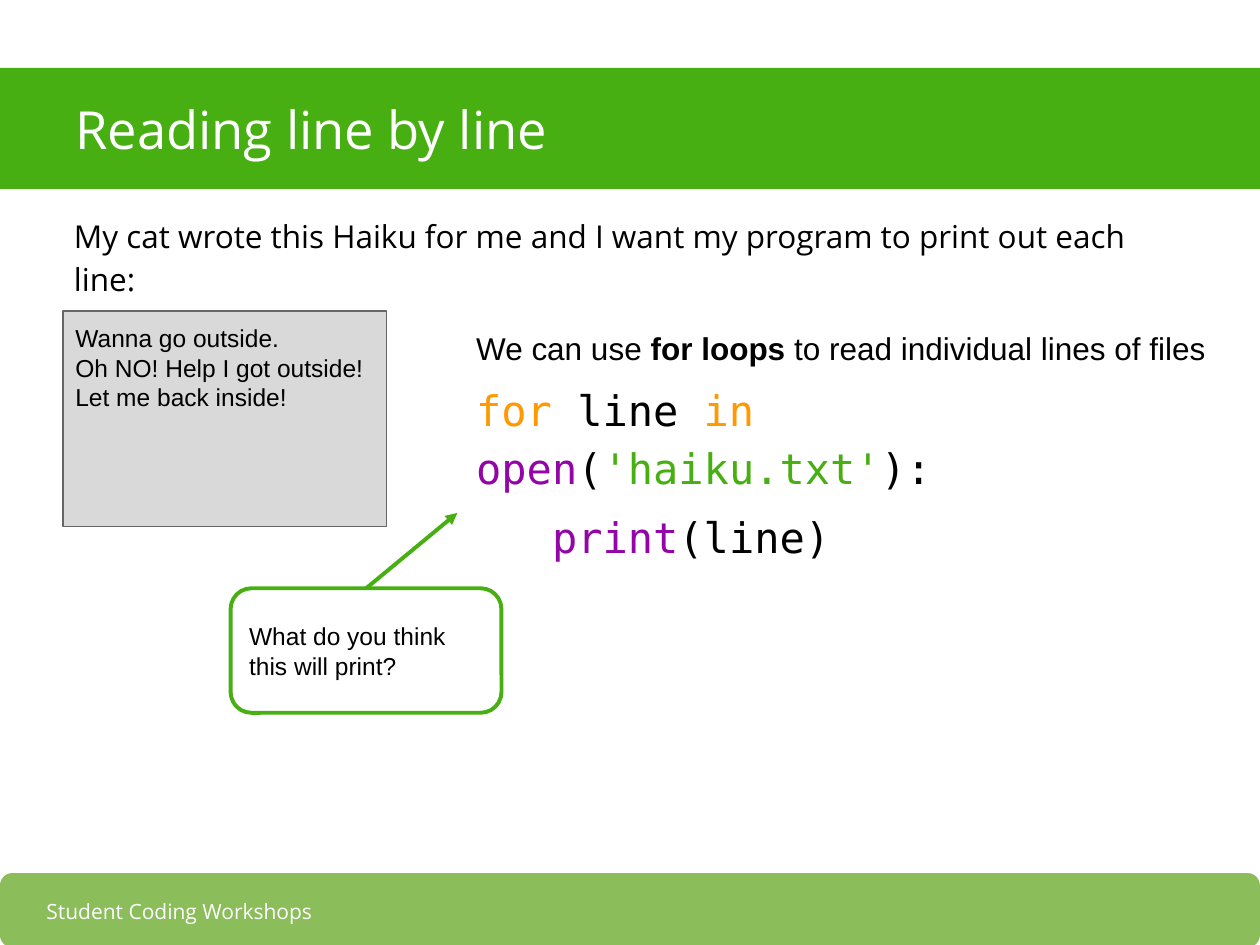
from dataclasses import dataclass

from lxml.etree import SubElement
from pptx import Presentation
from pptx.dml.color import RGBColor
from pptx.enum.shapes import MSO_CONNECTOR, MSO_SHAPE
from pptx.enum.text import MSO_ANCHOR, MSO_AUTO_SIZE, PP_ALIGN
from pptx.oxml.ns import qn
from pptx.util import Cm, Pt

GREEN = "47AF11"
PALE_GREEN = "8BBD5B"
WHITE = "FFFFFF"
BLACK = "000000"
ORANGE = "FF9900"
PURPLE = "9305A6"
GREY = "D9D9D9"
DARK_GREY = "666666"
SANS = "Arial"
OPEN = "Open Sans"
MONO = "DejaVu Sans Mono"


@dataclass(frozen=True)
class Area:
    left: float
    top: float
    width: float
    height: float

    def lengths(self) -> tuple:
        return Cm(self.left), Cm(self.top), Cm(self.width), Cm(self.height)


@dataclass(frozen=True)
class Span:
    text: str
    color: str = BLACK
    bold: bool = False


@dataclass(frozen=True)
class Style:
    font: str
    size: float
    spacing: float = 1.0
    before: float = 0
    align: PP_ALIGN = PP_ALIGN.LEFT


@dataclass(frozen=True)
class Line:
    style: Style
    spans: tuple


@dataclass(frozen=True)
class Panel:
    kind: MSO_SHAPE
    area: Area
    fill: str
    outline: str = ""
    weight: float = 0


def rgb(color: str) -> RGBColor:
    return RGBColor.from_string(color)


def write(box, lines: list, anchor=MSO_ANCHOR.TOP) -> None:
    frame = box.text_frame
    frame.word_wrap = True
    frame.auto_size = MSO_AUTO_SIZE.NONE
    frame.vertical_anchor = anchor
    frame.margin_left = frame.margin_right = Cm(0.25)
    frame.margin_top = frame.margin_bottom = Cm(0.25)
    for index, line in enumerate(lines):
        para = frame.add_paragraph() if index else frame.paragraphs[0]
        para.alignment = line.style.align
        para.line_spacing = line.style.spacing
        para.space_before = Pt(line.style.before if index else 0)
        for span in line.spans:
            run = para.add_run()
            run.text = span.text
            run.font.name = line.style.font
            run.font.size = Pt(line.style.size)
            run.font.bold = span.bold
            run.font.color.rgb = rgb(span.color)


def add_panel(page, panel: Panel):
    shape = page.shapes.add_shape(panel.kind, *panel.area.lengths())
    shape.shadow.inherit = False
    shape.fill.solid()
    shape.fill.fore_color.rgb = rgb(panel.fill)
    if panel.outline:
        shape.line.color.rgb = rgb(panel.outline)
        shape.line.width = Pt(panel.weight)
    else:
        shape.line.fill.background()
    return shape


def add_text(page, area: Area, lines: list, anchor=MSO_ANCHOR.TOP) -> None:
    write(page.shapes.add_textbox(*area.lengths()), lines, anchor)


def add_title(page, area: Area, line: Line) -> None:
    title = page.shapes.title
    title.left, title.top, title.width, title.height = area.lengths()
    write(title, [line], MSO_ANCHOR.MIDDLE)
    title.element.getparent().append(title.element)


def add_arrow(page, start: tuple, end: tuple, color: str, weight: float) -> None:
    points = [Cm(value) for value in (*start, *end)]
    arrow = page.shapes.add_connector(MSO_CONNECTOR.STRAIGHT, *points)
    arrow.line.color.rgb = rgb(color)
    arrow.line.width = Pt(weight)
    SubElement(arrow.line._get_or_add_ln(), qn("a:tailEnd"), type="triangle")
    SubElement(arrow.element.spPr, qn("a:effectLst"))


def main() -> None:
    deck = Presentation()
    deck.slide_width, deck.slide_height = Cm(25.4), Cm(19.05)
    page = deck.slides.add_slide(deck.slide_layouts[5])

    heading = Style(OPEN, 30)
    footer = Style(OPEN, 12, align=PP_ALIGN.RIGHT)
    intro = Style(OPEN, 18, 1.15)
    body = Style(SANS, 18, 1.15)
    code = Style(MONO, 24, 1.15, 6)
    note = Style(SANS, 14)

    add_panel(page, Panel(MSO_SHAPE.ROUNDED_RECTANGLE, Area(0, 17.6, 25.4, 1.5), PALE_GREEN))
    add_text(page, Area(-0.97, 17.88, 7.52, 0.99),
             [Line(footer, (Span("Student Coding Workshops", WHITE),))], MSO_ANCHOR.MIDDLE)
    add_panel(page, Panel(MSO_SHAPE.RECTANGLE, Area(-0.18, 1.37, 25.7, 2.44), GREEN))
    add_title(page, Area(1.27, 1.37, 22.86, 2.44),
              Line(heading, (Span("Reading line by line", WHITE),)))

    add_text(page, Area(1.24, 4.01, 22.86, 13.39), [Line(intro, (
        Span("My cat wrote this Haiku for me and I want my program to print out each line:"),))])

    haiku = ("Wanna go outside.", "Oh NO! Help I got outside!", "Let me back inside!")
    haiku_box = add_panel(page, Panel(
        MSO_SHAPE.RECTANGLE, Area(1.27, 6.27, 6.53, 4.34), GREY, DARK_GREY, 0.75))
    write(haiku_box, [Line(note, (Span(verse),)) for verse in haiku])

    add_text(page, Area(9.35, 6.27, 15.47, 13.46), [
        Line(body, (Span("We can use "), Span("for loops", bold=True),
                    Span(" to read individual lines of files"))),
        Line(code, (Span("for", ORANGE), Span(" line "), Span("in ", ORANGE),
                    Span("open", PURPLE), Span("("), Span("'haiku.txt'", GREEN), Span("):"))),
        Line(code, (Span("   "), Span("print", PURPLE), Span("(line)"))),
    ])

    callout = Area(4.65, 11.86, 5.46, 2.51)
    question = add_panel(page, Panel(
        MSO_SHAPE.ROUNDED_RECTANGLE, callout, WHITE, GREEN, 2.25))
    write(question, [Line(note, (Span("What do you think this will print?"),))],
          MSO_ANCHOR.MIDDLE)
    add_arrow(page, (callout.left + callout.width / 2, callout.top), (9.22, 10.34), GREEN, 2.25)

    deck.save("out.pptx")


if __name__ == "__main__":
    main()
